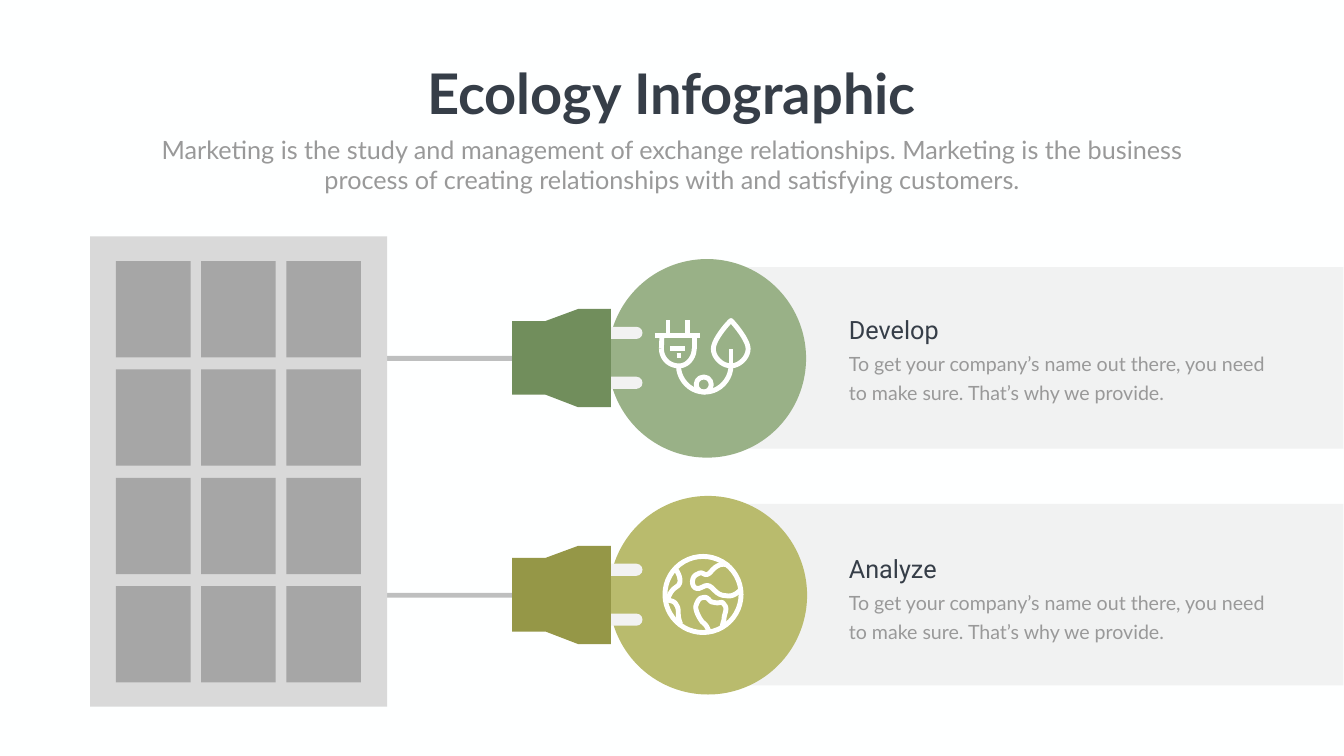
from lxml import etree
from pptx import Presentation
from pptx import util as u
from pptx.dml.color import RGBColor
from pptx.enum import shapes, text
from pptx.oxml.ns import qn

Inches = u.Inches
WHITE, DARK, GREY = "FFFFFF", "363E48", "999999"
ROW_STEP = 4.7


def paint(shape, fill=None, line=None, width=7, alpha=None):
    """Set fill and line by hex colour; alpha is the opacity in percent."""
    if fill:
        shape.fill.solid()
        shape.fill.fore_color.rgb = RGBColor.from_string(fill)
    elif hasattr(shape, "fill"):
        shape.fill.background()
    if line:
        shape.line.color.rgb = RGBColor.from_string(line)
        shape.line.width = u.Pt(width)
    else:
        shape.line.fill.background()
    properties = shape._element.spPr
    if alpha:
        color = next(properties.iter(qn("a:srgbClr")))
        etree.SubElement(color, qn("a:alpha"), val=str(alpha * 1000))
    if properties.find(qn("a:effectLst")) is None:
        etree.SubElement(properties, qn("a:effectLst"))


def write(words, place, size, box=None, font="Lato", color=GREY, bold=False,
          align=text.PP_ALIGN.LEFT, spacing=None, wrap=True):
    """Put words in the given box, or in a new text box, at place."""
    place = [Inches(length) for length in place]
    box = box or items.add_textbox(*place)
    box.left, box.top, box.width, box.height = place
    frame = box.text_frame
    frame.word_wrap = wrap
    frame.auto_size = text.MSO_AUTO_SIZE.NONE
    frame.vertical_anchor = text.MSO_ANCHOR.TOP
    para = frame.paragraphs[0]
    para.alignment = align
    if spacing:
        para.line_spacing = u.Pt(spacing)
    span = para.add_run()
    span.text = words
    span.font.name, span.font.size, span.font.bold = font, u.Pt(size), bold
    span.font.color.rgb = RGBColor.from_string(color)


deck = Presentation()
deck.slide_width, deck.slide_height = Inches(26.66), Inches(15)
page = deck.slides.add_slide(deck.slide_layouts[5])
page.background.fill.solid()
page.background.fill.fore_color.rgb = RGBColor.from_string("FEFFFF")
items = page.shapes
KIND = shapes.MSO_SHAPE

# Title and introduction
write("Ecology Infographic", (8.27, 1.12, 10.11, 1.45), 80, box=items.title,
      color=DARK, bold=True, align=text.PP_ALIGN.CENTER, wrap=False)
write("Marketing is the study and management of exchange relationships. "
      "Marketing is the business process of creating relationships with and "
      "satisfying customers.",
      (2.92, 2.61, 20.82, 1.31), 36, align=text.PP_ALIGN.CENTER)

# Two rows: band, circle, text, cable and plug
rows = [("Develop", "99B187", "718E5C"), ("Analyze", "B9BB6D", "959747")]
plug_outline = [(10.16, 6.37), (10.82, 6.37), (11.47, 6.13), (12.12, 6.13),
                (12.12, 8.08), (11.47, 8.08), (10.82, 7.83), (10.16, 7.83)]
for number, (heading, circle_color, plug_color) in enumerate(rows):
    drop = number * ROW_STEP
    band = items.add_shape(KIND.RECTANGLE, Inches(14.73), Inches(5.3 + drop),
                           Inches(11.92), Inches(3.6))
    paint(band, "808080", alpha=10)
    circle = items.add_shape(KIND.OVAL, Inches(12.06 + 0.02 * number), Inches(5.14 + drop),
                             Inches(3.93), Inches(3.94))
    paint(circle, circle_color)

    text_drop = number * 4.74
    write("To get your company’s name out there, you need to make sure. "
          "That’s why we provide.",
          (16.74, 6.84 + text_drop, 8.71, 1.19), 28, spacing=40.8)
    write(heading, (16.74, 6.19 + text_drop, 4.39, 0.71), 36, font="Roboto", color=DARK)

    cable = items.add_connector(shapes.MSO_CONNECTOR.STRAIGHT, Inches(5.77),
                                Inches(7.11 + drop), Inches(10.35), Inches(7.11 + drop))
    paint(cable, line="808080", alpha=50)
    for top in (6.27, 7.26):
        prong = items.add_shape(KIND.ROUND_2_SAME_RECTANGLE, Inches(12.29),
                                Inches(top + drop), Inches(0.24), Inches(0.67))
        prong.adjustments[0] = 0.5
        prong.rotation = 90
        paint(prong, "F2F2F2")
    corners = [(Inches(x), Inches(y + drop)) for x, y in plug_outline]
    builder = items.build_freeform(*corners[0])
    builder.add_line_segments(corners[1:])
    paint(builder.convert_to_shape(), plug_color)

# Solar panel
panel = items.add_shape(KIND.RECTANGLE, Inches(1.79), Inches(4.69),
                        Inches(5.89), Inches(9.33))
paint(panel, "D9D9D9")
for row in range(4):
    for column in range(3):
        cell = items.add_shape(KIND.RECTANGLE, Inches(2.3 + 1.69 * column),
                               Inches(5.18 + 2.15 * row), Inches(1.48), Inches(1.91))
        paint(cell, "A6A6A6")

# Straight strokes of the plug icon
plug_strokes = [
    (13.77, 6.66, 13.77, 6.92), (13.12, 6.92, 13.13, 6.65), (12.99, 6.66, 13.89, 6.66),
    (13.25, 6.66, 13.25, 6.35), (13.64, 6.66, 13.64, 6.35), (13.29, 6.92, 13.59, 6.92),
    (13.42, 7.05, 13.5, 7.05), (14.5, 7.26, 14.5, 6.92)]
for ends in plug_strokes:
    stroke = items.add_connector(shapes.MSO_CONNECTOR.STRAIGHT, *map(Inches, ends))
    paint(stroke, line=WHITE)

# Round parts of both icons: cable loop and globe
for left, top, size in [(13.81, 7.48, 0.3), (13.19, 11.04, 1.51)]:
    ring = items.add_shape(KIND.OVAL, Inches(left), Inches(top), Inches(size), Inches(size))
    paint(ring, line=WHITE)

# Curved strokes: a start point, then three Bézier points per segment
leaf = [(14.5, 6.36), (14.41, 6.44), (14.15, 6.75), (14.15, 6.92),
        (14.15, 7.09), (14.32, 7.26), (14.5, 7.26),
        (14.67, 7.26), (14.84, 7.09), (14.84, 6.92),
        (14.84, 6.75), (14.58, 6.44), (14.5, 6.36)]
socket = [(13.77, 6.92), (13.77, 7.09), (13.64, 7.26), (13.47, 7.26),
          (13.25, 7.26), (13.12, 7.09), (13.12, 6.92)]
cord = [(13.46, 7.26), (13.46, 7.52), (13.68, 7.78), (13.98, 7.78),
        (14.28, 7.78), (14.5, 7.52), (14.5, 7.26)]
north_land = [(14.44, 11.22), (14.44, 11.22), (14.31, 11.13), (14.14, 11.3),
              (13.97, 11.52), (13.97, 11.3), (13.84, 11.39),
              (13.67, 11.43), (13.71, 11.78), (13.93, 11.65),
              (14.14, 11.52), (14.14, 11.82), (14.4, 11.82),
              (14.57, 11.86), (14.7, 11.69), (14.7, 11.69)]
south_land = [(14.32, 12.47), (14.32, 12.47), (14.32, 12.43), (14.36, 12.3),
              (14.36, 12.17), (14.45, 12.08), (14.36, 11.99),
              (14.32, 11.91), (14.28, 11.99), (14.15, 11.95),
              (14.06, 11.95), (14.06, 11.82), (13.93, 11.86),
              (13.84, 11.86), (13.8, 12.04), (13.8, 12.04),
              (13.8, 12.04), (13.8, 12.17), (13.93, 12.34),
              (14.06, 12.43), (14.06, 12.56), (14.06, 12.56)]
west_coast = [(13.41, 11.3), (13.41, 11.3), (13.59, 11.56), (13.41, 11.65),
              (13.28, 11.73), (13.24, 11.91), (13.24, 11.91),
              (13.24, 11.91), (13.37, 11.91), (13.41, 11.99),
              (13.5, 12.12), (13.41, 12.17), (13.5, 12.38)]
STEPS = 10
for points in (leaf, socket, cord, north_land, south_land, west_coast):
    builder = items.build_freeform(*map(Inches, points[0]))
    trail = []
    for first in range(0, len(points) - 1, 3):
        for step in range(1, STEPS + 1):
            t = step / STEPS
            weights = ((1 - t) ** 3, 3 * t * (1 - t) ** 2, 3 * t * t * (1 - t), t ** 3)
            trail.append([Inches(sum(w * p[axis] for w, p in zip(weights, points[first:first + 4])))
                          for axis in (0, 1)])
    builder.add_line_segments(trail, close=points[0] == points[-1])
    paint(builder.convert_to_shape(), line=WHITE)

deck.save("out.pptx")
